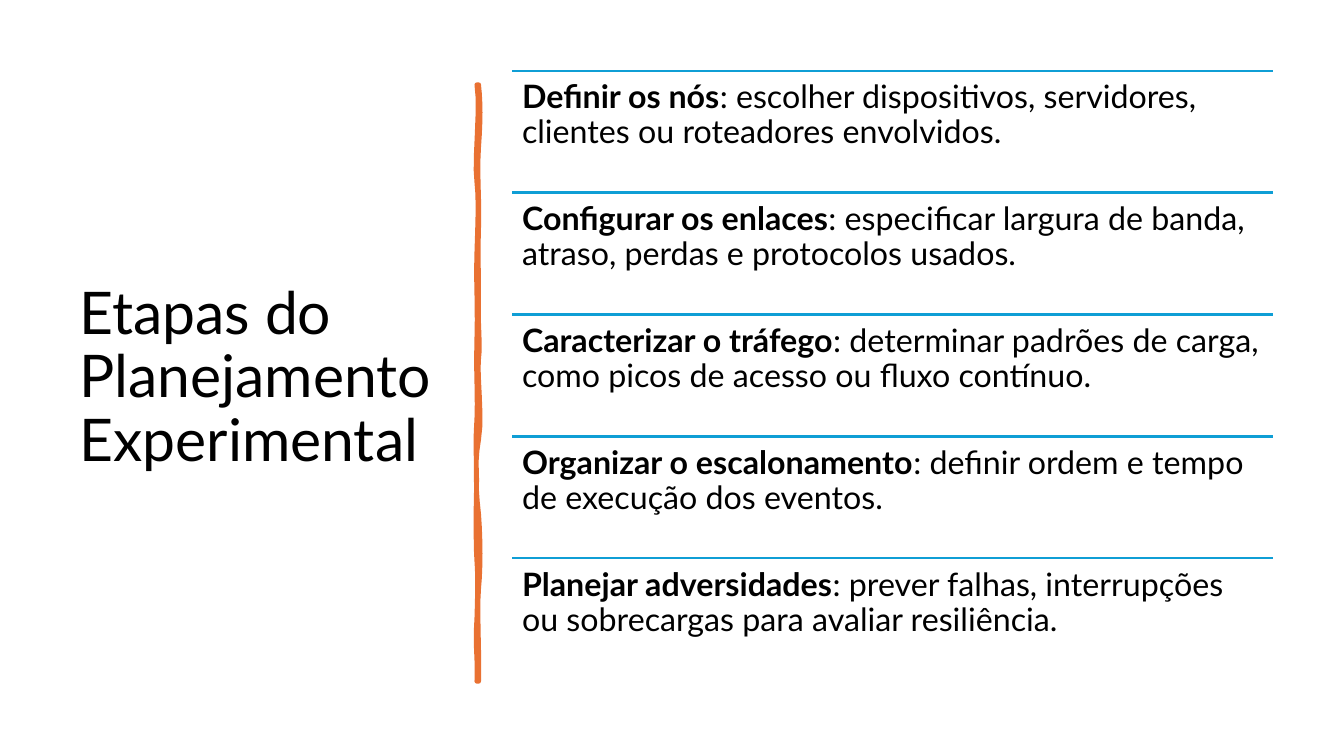
"""Build the slide on the steps of experimental planning."""
from dataclasses import dataclass

from lxml import etree
from pptx import Presentation, util as u
from pptx.dml import color
from pptx.enum import shapes, text
from pptx.oxml import ns

Point = tuple[float, float]

FONT = "Lato"
BLACK, ORANGE, BLUE = "000000", "E97132", "0F9ED5"
LEFT, TOP, WIDTH, STEP = 365.8, 50.4, 543.6, 87.12


@dataclass
class Stage:
    name: str
    detail: str


STAGES = [
    Stage("Definir os nós", ": escolher dispositivos, servidores, clientes ou roteadores envolvidos."),
    Stage("Configurar os enlaces", ": especificar largura de banda, atraso, perdas e protocolos usados."),
    Stage("Caracterizar o tráfego", ": determinar padrões de carga, como picos de acesso ou fluxo contínuo."),
    Stage("Organizar o escalonamento", ": definir ordem e tempo de execução dos eventos."),
    Stage("Planejar adversidades", ": prever falhas, interrupções ou sobrecargas para avaliar resiliência."),
]

RIGHT_EDGE: list[Point] = [
    (342, 60.5), (343.4, 73.4), (343.4, 85.7), (342, 105.1),
    (340.6, 124.6), (342.7, 140.4), (342, 162.7),
    (341.3, 185), (342, 188.6), (342, 211.7),
    (341.3, 234), (343.4, 246.2), (342, 256.3),
    (340.6, 266.4), (344.9, 298.1), (342, 313.9),
    (339.1, 329), (339.8, 348.5), (342, 367.2),
    (343.4, 385.9), (343.4, 406.1), (342, 420.5),
    (340.6, 434.2), (342.7, 468), (342, 486.7),
]
LEFT_EDGE: list[Point] = [
    (340.6, 486.7), (341.3, 465.1), (339.1, 463.7), (340.6, 441.4),
    (341.3, 419.8), (341.3, 410.4), (340.6, 401),
    (339.8, 391.7), (339.8, 356.4), (340.6, 343.4),
    (340.6, 330.5), (339.1, 320.4), (340.6, 298.8),
    (341.3, 277.9), (339.8, 268.6), (340.6, 241.2),
    (341.3, 214.6), (339.8, 202.3), (340.6, 180),
    (341.3, 157), (342, 144), (340.6, 130.3),
    (338.4, 117.4), (343.4, 74.9), (340.6, 60.5),
]


def rgb(value: str) -> color.RGBColor:
    return color.RGBColor.from_string(value)


def apply(target: object, values: dict[str, object]) -> None:
    for name, value in values.items():
        setattr(target, name, value)


def smooth(knots: list[Point], parts: int = 6) -> list[Point]:
    """Return points along a chain of cubic curves."""
    points = [knots[0]]
    for i in range(0, len(knots) - 1, 3):
        for n in range(1, parts + 1):
            t = n / parts
            weights = ((1 - t) ** 3, 3 * t * (1 - t) ** 2, 3 * t * t * (1 - t), t ** 3)
            x, y = (sum(w * k[axis] for w, k in zip(weights, knots[i:i + 4])) for axis in (0, 1))
            points.append((x, y))
    return points


def add_brush(s) -> None:
    points = [(u.Pt(x), u.Pt(y)) for x, y in smooth(RIGHT_EDGE) + smooth(LEFT_EDGE)]
    builder = s.shapes.build_freeform(*points[0])
    builder.add_line_segments(points[1:])
    sp = builder.convert_to_shape()
    sp.shadow.inherit = False
    for fill in (sp.fill, sp.line.fill):
        fill.solid()
        fill.fore_color.rgb = rgb(ORANGE)
    sp.line.width = u.Pt(3.25)


def add_text(s, box: tuple[float, float, float, float], runs: list[tuple[str, bool]],
             size: float, frame: dict[str, object]) -> None:
    sp = s.shapes.add_textbox(*(u.Pt(v) for v in box))
    tf = sp.text_frame
    apply(tf, {"word_wrap": True, **frame})
    p = tf.paragraphs[0]
    p.line_spacing = 0.9
    for words, bold in runs:
        r = p.add_run()
        r.text = words
        apply(r.font, {"name": FONT, "size": u.Pt(size), "bold": bold})
        r.font.color.rgb = rgb(BLACK)


def add_rule(s, y: float) -> None:
    sp = s.shapes.add_connector(shapes.MSO_CONNECTOR.STRAIGHT,
                                u.Pt(LEFT), u.Pt(y), u.Pt(LEFT + WIDTH), u.Pt(y))
    sp.line.width = u.Pt(1.5)
    sp.line.color.rgb = rgb(BLUE)
    etree.SubElement(sp._element.spPr, ns.qn("a:effectLst"))


def add_stage(s, stage: Stage, y: float) -> None:
    add_rule(s, y)
    margins = {f"margin_{side}": u.Pt(7.2) for side in ("left", "top", "right", "bottom")}
    add_text(s, (LEFT, y, WIDTH, STEP), [(stage.name, True), (stage.detail, False)], 23, margins)


def main() -> None:
    prs = Presentation()
    apply(prs, {"slide_width": u.Pt(960), "slide_height": u.Pt(540)})
    s = prs.slides.add_slide(prs.slide_layouts[6])
    add_text(s, (49.7, 50.4, 269.3, 439.9), [("Etapas do Planejamento Experimental", False)], 42,
             {"vertical_anchor": text.MSO_ANCHOR.MIDDLE})
    add_brush(s)
    for i, stage in enumerate(STAGES):
        add_stage(s, stage, TOP + i * STEP)
    prs.save("out.pptx")


if __name__ == "__main__":
    main()
